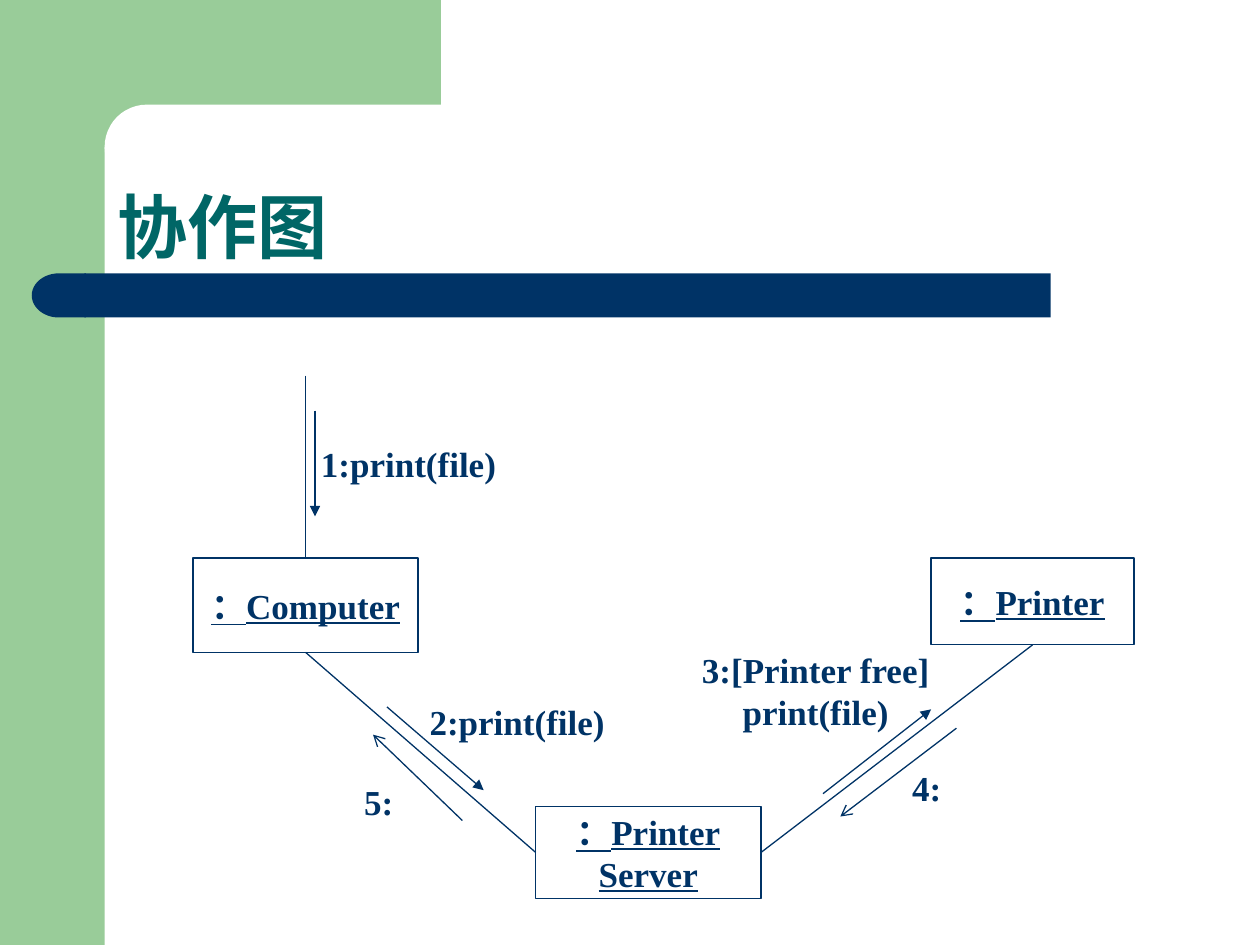
from dataclasses import dataclass

import pptx
import pptx.dml.color
import pptx.enum.shapes
import pptx.enum.text
import pptx.oxml
import pptx.oxml.ns
import pptx.util

Cm = pptx.util.Cm
Pt = pptx.util.Pt
SHAPE = pptx.enum.shapes.MSO_SHAPE
ALIGN = pptx.enum.text.PP_ALIGN
ANCHOR = pptx.enum.text.MSO_ANCHOR
AUTO = pptx.enum.text.MSO_AUTO_SIZE
TOP, LEFT, BOTTOM, RIGHT = range(4)


@dataclass(frozen=True)
class Theme:
    """Colours, fonts and sizes of the slide."""
    green: str = "99CC99"
    navy: str = "003366"
    teal: str = "006666"
    white: str = "FFFFFF"
    title_font: str = "Noto Sans CJK JP"
    body_font: str = "Times New Roman"
    title_size: int = 40
    body_size: int = 20
    line_width: float = 0.75


THEME = Theme()


def rgb(value):
    """Turn a hex string into a colour."""
    return pptx.dml.color.RGBColor.from_string(value)


def apply(target, values):
    """Set each attribute in a dict of format values."""
    for name, value in values.items():
        setattr(target, name, value)


def write(tf, text, color, font, align=ALIGN.LEFT):
    """Fill a text frame, one paragraph per line of text."""
    tf.text = text
    for p in tf.paragraphs:
        p.alignment = align
        for r in p.runs:
            apply(r.font, font)
            r.font.color.rgb = rgb(color)


def body_font(underline=False):
    """Give the format values of diagram text."""
    return {"name": THEME.body_font, "size": Pt(THEME.body_size),
            "bold": True, "underline": underline}


def add_title(s, text):
    """Place and format the title placeholder."""
    sp = s.shapes.title
    apply(sp, {"left": Cm(2.11), "top": Cm(3.94), "width": Cm(21.59), "height": Cm(1.6)})
    tf = sp.text_frame
    apply(tf, {"vertical_anchor": ANCHOR.BOTTOM, "auto_size": AUTO.NONE})
    write(tf, text, THEME.teal, {"name": THEME.title_font, "size": Pt(THEME.title_size), "bold": True})
    p = tf.paragraphs[0]
    p.line_spacing = 0.9
    latin = p.runs[0].font._element.find(pptx.oxml.ns.qn("a:latin"))
    latin.addnext(pptx.oxml.parse_xml(
        f'<a:ea {pptx.oxml.ns.nsdecls("a")} typeface="{THEME.title_font}"/>'))


def add_block(s, kind, box, color, corner=None, rotation=0):
    """Add a plain filled shape of the frame."""
    sp = s.shapes.add_shape(kind, *map(Cm, box))
    sp.shadow.inherit = False
    sp.fill.solid()
    sp.fill.fore_color.rgb = rgb(color)
    sp.line.fill.background()
    sp.rotation = rotation
    if corner is not None:
        sp.adjustments[0] = corner
    return sp


def add_object(s, text, box):
    """Add an outlined object box with an underlined name."""
    sp = s.shapes.add_shape(SHAPE.RECTANGLE, *map(Cm, box))
    sp.shadow.inherit = False
    sp.fill.background()
    sp.line.color.rgb = rgb(THEME.navy)
    sp.line.width = Pt(THEME.line_width)
    apply(sp.text_frame, {"word_wrap": False, "vertical_anchor": ANCHOR.MIDDLE})
    write(sp.text_frame, text, THEME.navy, body_font(True), ALIGN.CENTER)
    return sp


def add_label(s, text, box, align=ALIGN.LEFT):
    """Add a message label."""
    tf = s.shapes.add_textbox(*map(Cm, box)).text_frame
    apply(tf, {"word_wrap": False, "auto_size": AUTO.SHAPE_TO_FIT_TEXT})
    write(tf, text, THEME.navy, body_font(), align)


def add_line(s, points=(0, 0, 0, 0), head=None, begin=None, end=None):
    """Add a line, with an arrowhead or joined ends where given."""
    sp = s.shapes.add_connector(pptx.enum.shapes.MSO_CONNECTOR.STRAIGHT, *map(Cm, points))
    sp.line.color.rgb = rgb(THEME.navy)
    sp.line.width = Pt(THEME.line_width)
    ns = pptx.oxml.ns.nsdecls("a")
    if head:
        sp.line._get_or_add_ln().append(pptx.oxml.parse_xml(f'<a:tailEnd {ns} type="{head}"/>'))
    sp._element.spPr.append(pptx.oxml.parse_xml(f"<a:effectLst {ns}/>"))
    if begin:
        sp.begin_connect(*begin)
    if end:
        sp.end_connect(*end)


def add_frame(s):
    """Add the green border and the navy title bar."""
    add_block(s, SHAPE.RECTANGLE, (0, 0, 2.11, 19.05), THEME.green)
    add_block(s, SHAPE.RECTANGLE, (1.9, 0, 6.99, 2.97), THEME.green)
    add_block(s, SHAPE.ROUNDED_RECTANGLE, (2.11, 2.11, 14.17, 1.7), THEME.white, corner=0.5)
    add_block(s, SHAPE.ROUNDED_RECTANGLE, (1.7, 5.51, 19.48, 0.89), THEME.navy, corner=0)
    add_block(s, SHAPE.FLOWCHART_DELAY, (0.64, 5.51, 1.09, 0.89), THEME.navy, rotation=180)


def add_diagram(s):
    """Add the objects, their links and the messages between them."""
    computer = add_object(s, "：Computer", (3.89, 11.25, 4.54, 1.9))
    server = add_object(s, "：Printer\nServer", (10.8, 16.26, 4.54, 1.85))
    printer = add_object(s, "：Printer", (18.77, 11.25, 4.09, 1.75))

    add_line(s, (6.16, 7.57, 6.16, 11.25), end=(computer, TOP))
    add_line(s, begin=(computer, BOTTOM), end=(server, LEFT))
    add_line(s, begin=(server, RIGHT), end=(printer, BOTTOM))

    for points, head in (
        ((6.35, 8.28, 6.35, 10.41), "triangle"),
        ((7.8, 14.25, 9.75, 15.93), "triangle"),
        ((16.59, 16, 18.77, 14.3), "triangle"),
        ((19.28, 14.68, 16.94, 16.46), "arrow"),
        ((9.32, 16.54, 7.52, 14.81), "arrow"),
    ):
        add_line(s, points, head)

    add_label(s, "1:print(file)", (6.22, 8.79, 4.04, 1.12))
    add_label(s, "2:print(file)", (8.41, 14, 4.04, 1.12))
    add_label(s, "3:[Printer free]\nprint(file)", (13.89, 12.95, 5.11, 1.96), ALIGN.CENTER)
    add_label(s, "4:", (18.14, 15.32, 1.09, 1.12))
    add_label(s, "5:", (7.09, 15.6, 1.09, 1.12))


def main():
    """Build and save the slide."""
    prs = pptx.Presentation()
    apply(prs, {"slide_width": Cm(25.4), "slide_height": Cm(19.05)})
    s = prs.slides.add_slide(prs.slide_layouts.get_by_name("Title Only"))
    add_frame(s)
    add_title(s, "协作图")
    add_diagram(s)
    prs.save("out.pptx")


if __name__ == "__main__":
    main()
